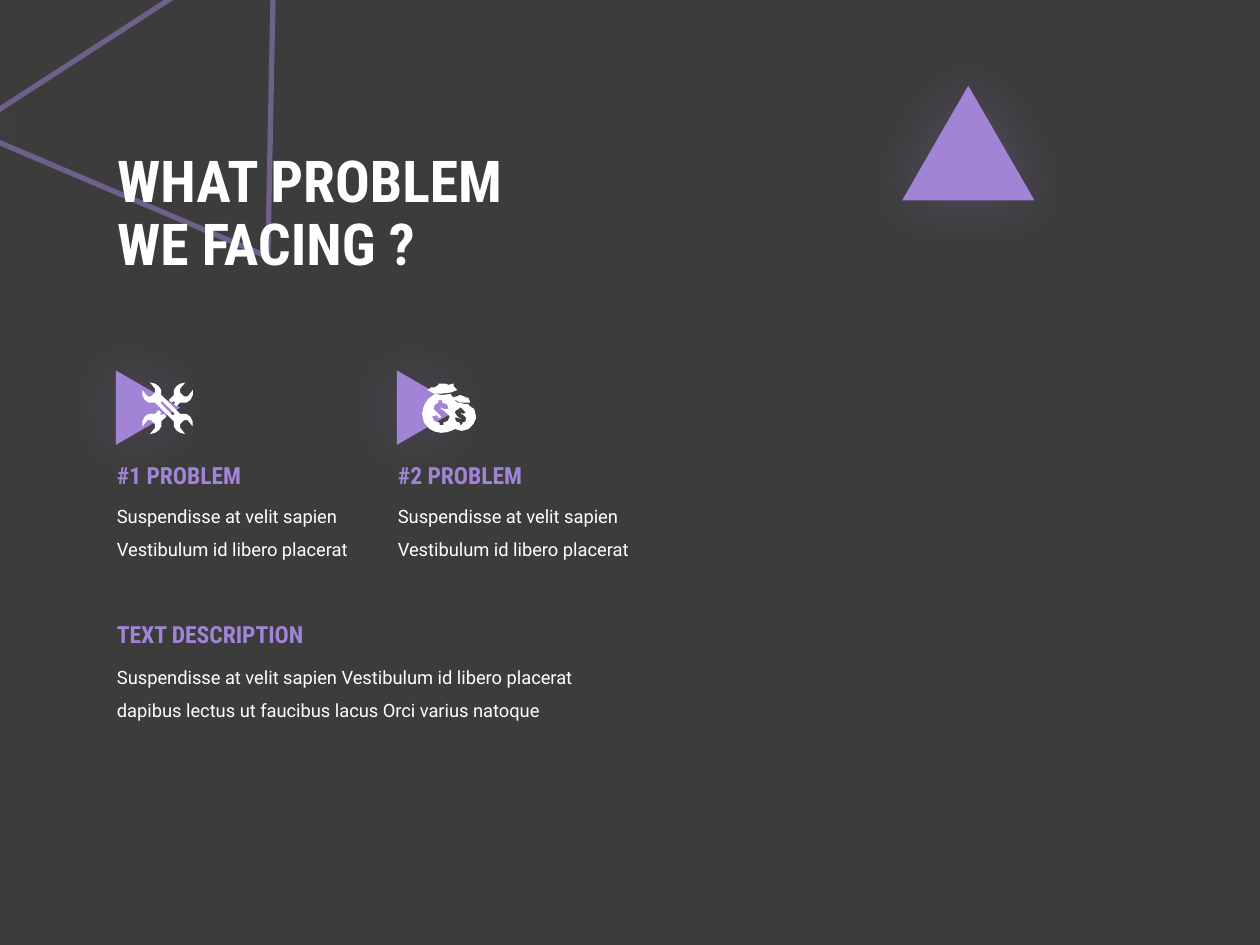
import lxml.etree
import pptx
import pptx.dml.color
import pptx.enum.shapes
import pptx.enum.text
import pptx.oxml.ns
import pptx.util

# The slide is a grid of 100 columns by 75 rows of square cells.
CELL = pptx.util.Inches(0.1)
VIOLET, WHITE, CHARCOAL = "A284D7", "FFFFFF", "3C3C3C"
PROBLEM_TEXT = "Suspendisse at velit sapien Vestibulum id libero placerat"
DESCRIPTION = PROBLEM_TEXT + " dapibus lectus ut faucibus lacus Orci varius natoque"

# Icon outlines, in tenths of a cell from the icon's corner.
WRENCH_HEAD = [(31, 16), (36, 16), (39, 14), (41, 10), (41, 6), (37, 11), (34, 11),
               (31, 8), (31, 5), (35, 0), (31, 1), (28, 3), (26, 6), (26, 10)]
WRENCH_NECK = [(22, 14), (24, 16), (26, 15), (27, 16), (26, 17), (28, 19)]
WRENCH_SLOT = [(26, 26), (25, 26), (16, 17), (16, 15), (17, 15), (26, 24)]
BAGS = [(37, 18), (37, 17), (34, 17), (28, 16), (25, 13), (30, 16), (38, 16),
        (38, 15), (37, 13), (37, 12), (35, 12), (33, 11), (30, 10), (28, 11),
        (27, 11), (25, 12), (23, 10), (23, 9), (16, 10), (10, 9), (9, 10),
        (5, 13), (2.6, 16.4), (1, 20), (0, 25), (1.5, 31.8), (6, 37), (10, 39),
        (15, 40), (20, 39.5), (24, 38), (26, 37), (31.5, 38.5), (37, 37),
        (40.8, 33), (43, 28), (41.5, 21.2)]
LARGE_DOLLAR = [(17, 32), (17, 34), (14, 34), (14, 32), (9.6, 30.6), (8, 27),
                (12, 26), (13, 28), (15, 28), (15, 27), (12, 24), (9, 21),
                (10, 18), (13, 16), (13, 14), (16, 14), (16, 16), (20, 17.5),
                (21, 21), (17, 21), (15, 20), (15, 21), (18, 23), (22, 27),
                (20.5, 30.5)]
SMALL_DOLLAR = [(32, 32), (32, 33), (30, 34), (30, 32), (27, 31), (26, 28), (28, 28),
                (31, 29), (28, 27), (26, 24), (27, 22), (29, 21), (29, 20), (31, 20),
                (32, 21), (35, 24), (32, 25), (31, 24), (31, 25), (33, 26),
                (35, 28), (34.5, 31)]
KNOT = [(10, 9), (15, 9), (23, 8), (28, 6), (27, 5), (25, 3), (25, 1), (24, 1),
        (21, 2), (19, 1), (13, 1), (13, 2), (10, 4), (8, 4), (7, 4), (6, 5), (4, 6)]


def color(hex_code):
    return pptx.dml.color.RGBColor.from_string(hex_code)


def cells(*counts):
    return [pptx.util.Emu(round(count * CELL)) for count in counts]


def mirror(points, across=False, down=False):
    return [(42 - x if across else x, 41 - y if down else y) for x, y in points]


def set_alpha(color_element, percent):
    alpha = lxml.etree.SubElement(color_element, pptx.oxml.ns.qn("a:alpha"))
    alpha.set("val", str(percent * 1000))


def add_glow(shape):
    """Give the shape a soft violet shadow on all sides."""
    qn = pptx.oxml.ns.qn
    shape.shadow.inherit = False
    effects = shape._element.spPr.find(qn("a:effectLst"))
    shadow = lxml.etree.SubElement(effects, qn("a:outerShdw"), algn="ctr",
                                   blurRad=str(pptx.util.Pt(35)), dist="0", dir="0",
                                   rotWithShape="0")
    set_alpha(lxml.etree.SubElement(shadow, qn("a:srgbClr"), val=VIOLET), 25)


def add_triangle(slide, box, rotation=0, outlined=False):
    kind = pptx.enum.shapes.MSO_SHAPE.ISOSCELES_TRIANGLE
    triangle = slide.shapes.add_shape(kind, *cells(*box))
    triangle.rotation = rotation
    if outlined:
        triangle.fill.background()
        triangle.line.color.rgb = color(VIOLET)
        triangle.line.width = pptx.util.Pt(3)
        line_color = next(triangle.line._ln.iter(pptx.oxml.ns.qn("a:srgbClr")))
        set_alpha(line_color, 50)
    else:
        triangle.fill.solid()
        triangle.fill.fore_color.rgb = color(VIOLET)
        triangle.line.fill.background()
    add_glow(triangle)


def format_text(frame, text, size, font, hex_code, bold=False, spacing=1.0):
    frame.word_wrap = True
    frame.text = text
    paragraph = frame.paragraphs[0]
    paragraph.alignment = pptx.enum.text.PP_ALIGN.LEFT
    paragraph.line_spacing = spacing
    paragraph.font.size = pptx.util.Pt(size)
    paragraph.font.name = font
    paragraph.font.bold = bold
    paragraph.font.color.rgb = color(hex_code)


def add_text(slide, box, *style, **options):
    frame = slide.shapes.add_textbox(*cells(*box)).text_frame
    format_text(frame, *style, **options)
    frame.auto_size = pptx.enum.text.MSO_AUTO_SIZE.SHAPE_TO_FIT_TEXT


def add_icon(slide, left, top, parts):
    """Draw each part as an outline followed by its holes."""
    icon = slide.shapes.add_group_shape()
    for outlines in parts:
        builder = None
        for outline in outlines:
            points = [cells(left + x / 10, top + y / 10) for x, y in outline]
            if builder is None:
                builder = icon.shapes.build_freeform(*points[0], scale=1.0)
            else:
                builder.move_to(*points[0])
            builder.add_line_segments(points[1:], close=True)
        part = builder.convert_to_shape()
        part.shadow.inherit = False
        part.fill.solid()
        part.fill.fore_color.rgb = color(WHITE)
        part.line.fill.background()


def add_title(slide, box):
    title = slide.shapes.title
    title.left, title.top, title.width, title.height = cells(*box)
    frame = title.text_frame
    format_text(frame, "WHAT PROBLEM\vWE FACING ?", 33, "Roboto Condensed", WHITE,
                bold=True, spacing=0.9)
    frame.vertical_anchor = pptx.enum.text.MSO_ANCHOR.MIDDLE
    frame.auto_size = pptx.enum.text.MSO_AUTO_SIZE.NONE


def add_section(slide, box, heading, body, heading_width, gap):
    left, top, width, height = box
    add_text(slide, (left, top + gap, width, height - gap), body, 10.5, "Roboto",
             WHITE, spacing=1.5)
    add_text(slide, (left, top, heading_width, 3.3), heading, 13.5,
             "Roboto Condensed", VIOLET, bold=True)


def add_problem(slide, box, heading, icon_parts):
    left, top, width, height = box
    add_triangle(slide, (left + 0.5, top, 5.9, 5.1), rotation=90)
    add_section(slide, (left, top + 6.3, width, height - 6.3), heading, PROBLEM_TEXT,
                heading_width=16.6, gap=2.6)
    add_icon(slide, left + 2.9, top + 0.55, icon_parts)


def main():
    deck = pptx.Presentation()
    deck.slide_width, deck.slide_height = cells(100, 75)
    slide = deck.slides.add_slide(deck.slide_layouts[0])
    slide.background.fill.solid()
    slide.background.fill.fore_color.rgb = color(CHARCOAL)
    subtitle = slide.placeholders[1]._element
    subtitle.getparent().remove(subtitle)

    # Decoration and title
    add_triangle(slide, (1, 0.7, 28.9, 21.4), rotation=147.1, outlined=True)
    title = slide.shapes.title._element
    title.getparent().append(title)
    add_title(slide, (8.3, 9.2, 42.2, 15.8))
    add_triangle(slide, (71.6, 6.8, 10.5, 9.1))

    # Problems side by side
    wrench = WRENCH_HEAD + WRENCH_NECK
    crossing = mirror(WRENCH_HEAD, across=True) + mirror(WRENCH_HEAD, down=True)
    tools = [[wrench], [mirror(wrench, across=True, down=True)],
             [crossing, WRENCH_SLOT]]
    money = [[BAGS, LARGE_DOLLAR, SMALL_DOLLAR], [KNOT]]
    for column, icon_parts in enumerate([tools, money]):
        add_problem(slide, (8.3 + 22.3 * column, 29.8, 21, 14.9),
                    f"#{column + 1} PROBLEM", icon_parts)

    # Description
    add_section(slide, (8.3, 48.7, 38.5, 8.8), "TEXT DESCRIPTION", DESCRIPTION,
                heading_width=18.4, gap=2.8)
    deck.save("out.pptx")


if __name__ == "__main__":
    main()
